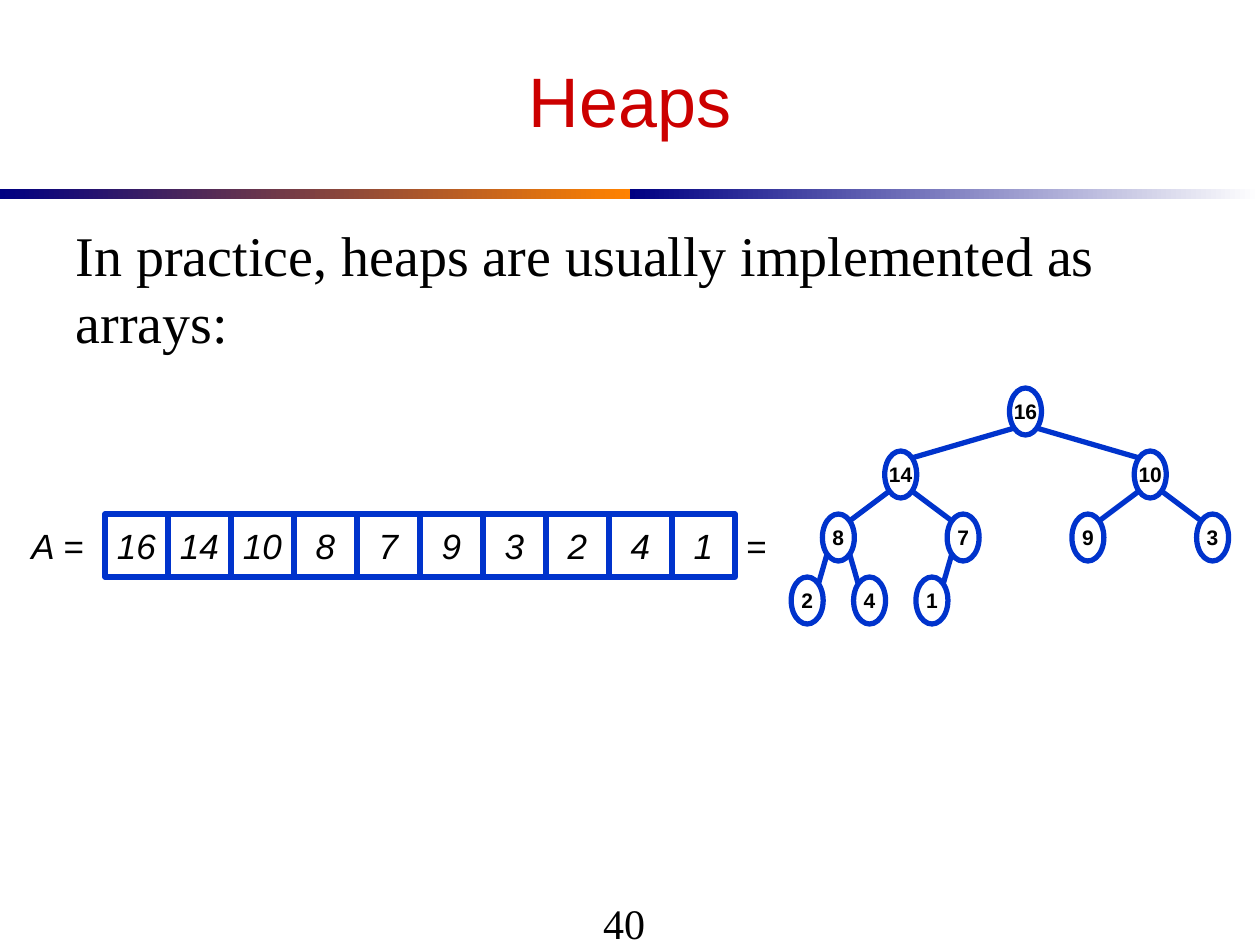
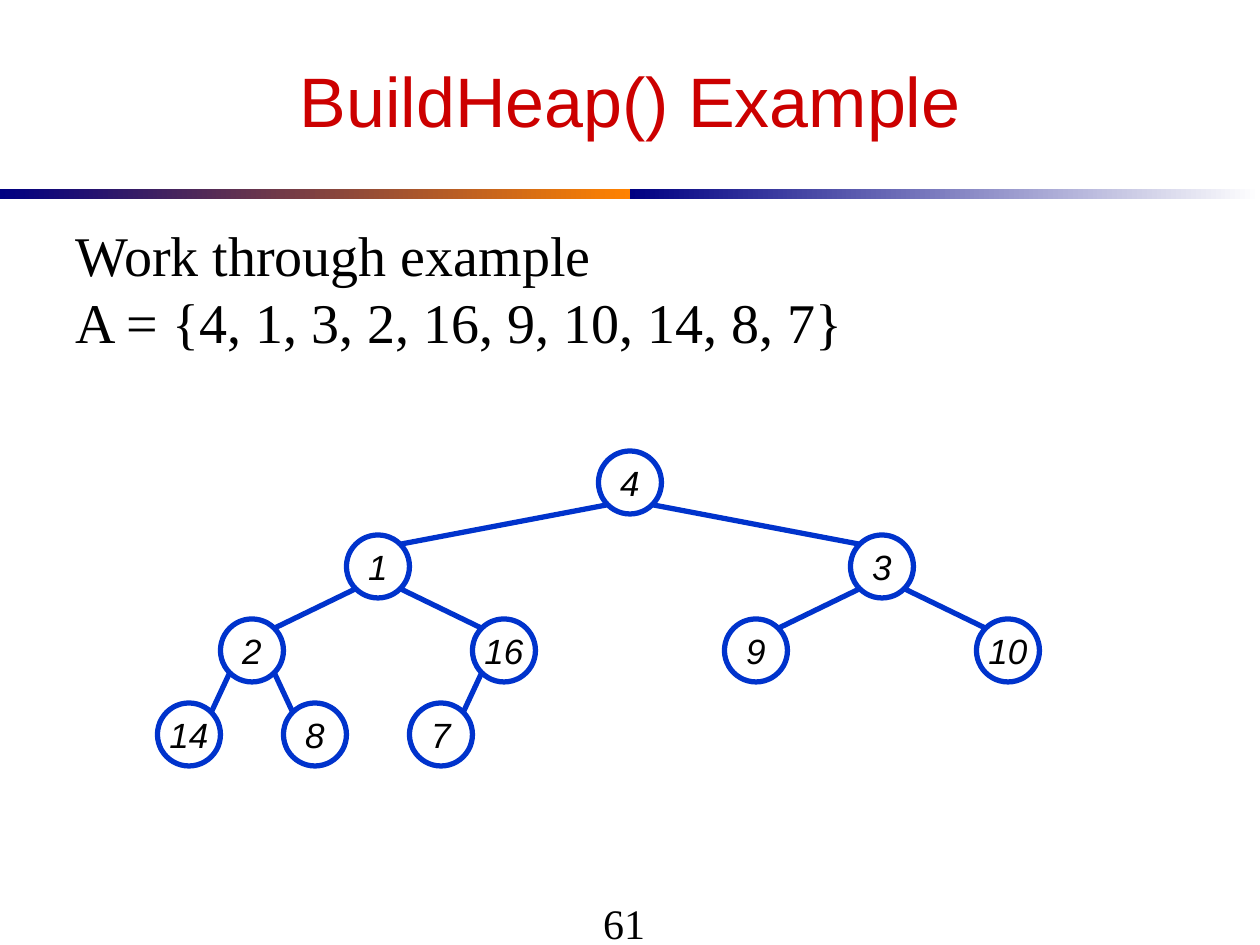
from math import sqrt

from lxml.etree import SubElement
from pptx import Presentation
from pptx.dml.color import RGBColor
from pptx.enum.shapes import MSO_CONNECTOR, MSO_SHAPE
from pptx.enum.text import MSO_ANCHOR, MSO_AUTO_SIZE, PP_ALIGN
from pptx.oxml.ns import qn
from pptx.util import Inches, Pt

RED = RGBColor(0xCC, 0x00, 0x00)
BLUE = RGBColor(0x00, 0x33, 0xCC)
NAVY = RGBColor(0x00, 0x00, 0x82)
ORANGE = RGBColor(0xFF, 0x82, 0x00)
BLACK = RGBColor(0x00, 0x00, 0x00)
WHITE = RGBColor(0xFF, 0xFF, 0xFF)
SANS = "Arial"
SERIF = "Times New Roman"
LINE_WIDTH = Pt(3)

TITLE_BOX = (63, 32, 1134, 136)
BODY_BOX = (63, 210, 1134, 599)
PAGE_BOX = (63, 867, 1133, 112)
BAND_TOP, BAND_WIDTH, BAND_HEIGHT = 189, 630, 10
CELL = 63


def px(length):
    return round(length * 914400 / 126)


def place(shape, box):
    shape.left, shape.top, shape.width, shape.height = map(px, box)


def style(paragraph, size, face, color=BLACK, align=PP_ALIGN.CENTER, bold=False, italic=False):
    paragraph.alignment = align
    font = paragraph.font
    font.size, font.name, font.color.rgb = Pt(size), face, color
    font.bold, font.italic = bold, italic


def write(shape, text, size, face=SANS, wrap=False, **look):
    frame = shape.text_frame
    frame.text = text
    frame.word_wrap = wrap
    frame.auto_size = MSO_AUTO_SIZE.NONE
    frame.vertical_anchor = MSO_ANCHOR.MIDDLE
    style(frame.paragraphs[0], size, face, **look)
    return frame


def add_label(slide, box, text, size, **look):
    label = slide.shapes.add_textbox(*map(px, box))
    return write(label, text, size, **look)


def add_key(slide, preset, box, value, size, **look):
    key = slide.shapes.add_shape(preset, *map(px, box))
    key.shadow.inherit = False
    key.fill.solid()
    key.fill.fore_color.rgb = WHITE
    key.line.color.rgb = BLUE
    key.line.width = LINE_WIDTH
    write(key, str(value), size, **look)


def add_edge(slide, start, end):
    edge = slide.shapes.add_connector(MSO_CONNECTOR.STRAIGHT, *map(px, start + end))
    edge.line.color.rgb = BLUE
    edge.line.width = LINE_WIDTH
    SubElement(edge.element.spPr, qn("a:effectLst"))


def add_heap_tree(slide, box, node_size, heap, size, **look):
    left, top, width, height = box
    node_width, node_height = node_size
    levels = len(heap).bit_length()
    step = (height - node_height) / (levels - 1)
    centers = []
    for index, value in enumerate(heap, 1):
        level = index.bit_length() - 1
        slot = width / 2 ** level
        x = left + (index - 2 ** level + 0.5) * slot
        y = top + node_height / 2 + level * step
        centers.append((x, y))
        node_box = (x - node_width / 2, y - node_height / 2, node_width, node_height)
        add_key(slide, MSO_SHAPE.OVAL, node_box, value, size, **look)
    dx, dy = node_width / sqrt(8), node_height / sqrt(8)
    for child in range(1, len(heap)):
        parent_x, parent_y = centers[(child - 1) // 2]
        child_x, child_y = centers[child]
        side = 1 if child_x > parent_x else -1
        add_edge(slide, (parent_x + side * dx, parent_y + dy),
                 (child_x - side * dx, child_y - dy))


def add_heap_array(slide, left, top, heap):
    name_width, equals_width = 95, 42
    add_label(slide, (left, top, name_width, CELL), "A =", 20, italic=True)
    cells_left = left + name_width
    for index, value in enumerate(heap):
        cell_box = (cells_left + index * CELL, top, CELL, CELL)
        add_key(slide, MSO_SHAPE.RECTANGLE, cell_box, value, 20, italic=True)
    cells_right = cells_left + len(heap) * CELL
    add_label(slide, (cells_right, top, equals_width, CELL), "=", 20, italic=True)


def prepare_layout(layout):
    for holder in list(layout.placeholders):
        if holder.placeholder_format.idx >= 10:
            holder.element.getparent().remove(holder.element)
    place(layout.placeholders[0], TITLE_BOX)
    place(layout.placeholders[1], BODY_BOX)


def add_bands(slide):
    for index, end_color in enumerate((ORANGE, WHITE)):
        box = (index * BAND_WIDTH, BAND_TOP, BAND_WIDTH, BAND_HEIGHT)
        band = slide.shapes.add_shape(MSO_SHAPE.RECTANGLE, *map(px, box))
        band.shadow.inherit = False
        band.line.fill.background()
        band.fill.gradient()
        band.fill.gradient_angle = 0
        for stop, color in zip(band.fill.gradient_stops, (NAVY, end_color)):
            stop.color.rgb = color
        slide.slide_layout.shapes.element.append(band.element)


def add_heap_slide(deck, layout, title, statement, page):
    slide = deck.slides.add_slide(layout)
    write(slide.shapes.title, title, 40, wrap=True, color=RED)
    body = write(slide.placeholders[1], statement, 32, face=SERIF, wrap=True,
                 align=PP_ALIGN.LEFT)
    body.vertical_anchor = MSO_ANCHOR.TOP
    body.margin_top = px(10)
    paragraph = body.paragraphs[0]
    paragraph.space_before = Pt(0)
    paragraph.line_spacing = Pt(38.4)
    properties = paragraph._p.get_or_add_pPr()
    properties.set("marL", "0")
    properties.set("indent", "0")
    properties.insert_element_before(
        properties.makeelement(qn("a:buNone")), "a:tabLst", "a:defRPr", "a:extLst")
    number = add_label(slide, PAGE_BOX, str(page), 24, face=SERIF, wrap=True)
    number.margin_right = px(23)
    return slide


def main():
    deck = Presentation()
    deck.slide_width, deck.slide_height = Inches(10), Inches(7.5)
    layout = deck.slide_layouts[1]
    prepare_layout(layout)

    heap = (16, 14, 10, 8, 7, 9, 3, 2, 4, 1)
    heaps = add_heap_slide(
        deck, layout, "Heaps",
        "In practice, heaps are usually implemented as arrays:", 40)
    add_bands(heaps)
    add_heap_tree(heaps, (776, 388, 499, 236), (32, 47), heap, 12, bold=True)
    add_heap_array(heaps, 10, 514, heap)

    unsorted = (4, 1, 3, 2, 16, 9, 10, 14, 8, 7)
    example = add_heap_slide(
        deck, layout, "BuildHeap() Example",
        "Work through example\vA = {4, 1, 3, 2, 16, 9, 10, 14, 8, 7}", 61)
    add_heap_tree(example, (126, 451, 1008, 315), (CELL, CELL), unsorted, 20, italic=True)

    deck.save("out.pptx")


if __name__ == "__main__":
    main()
